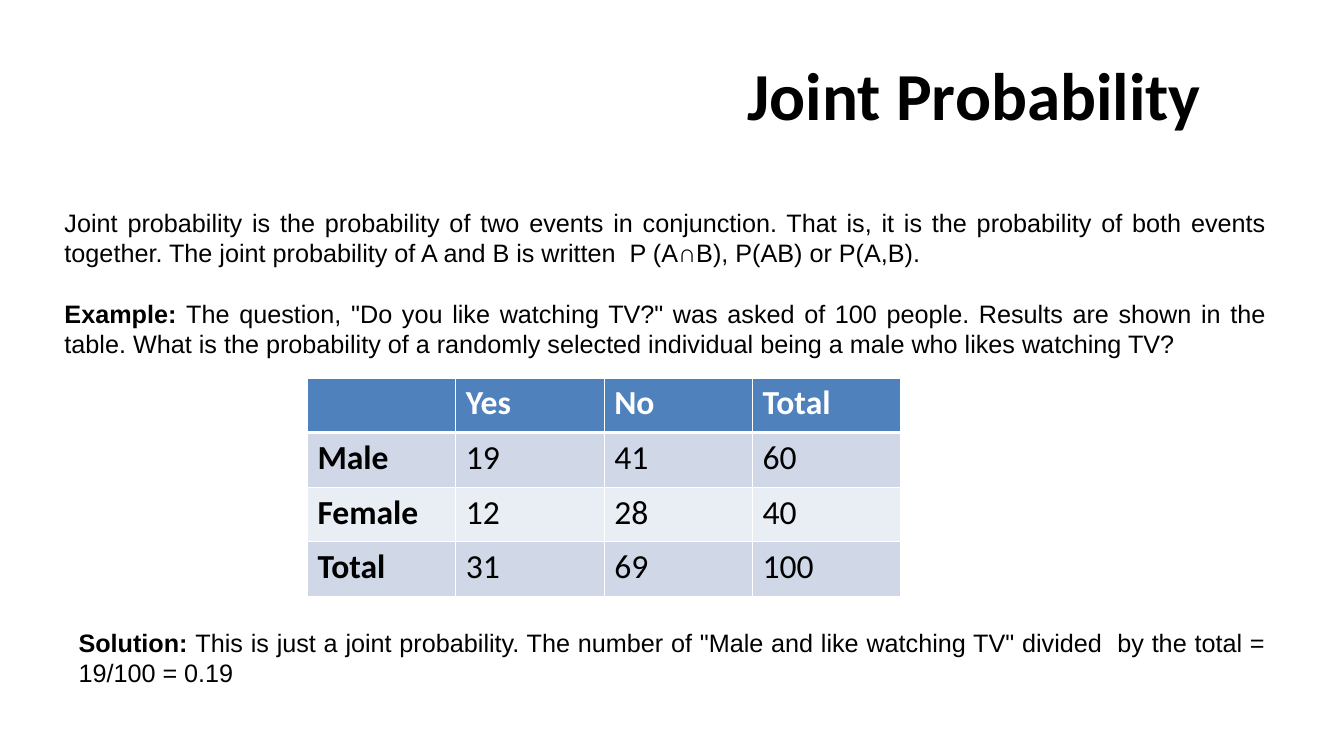
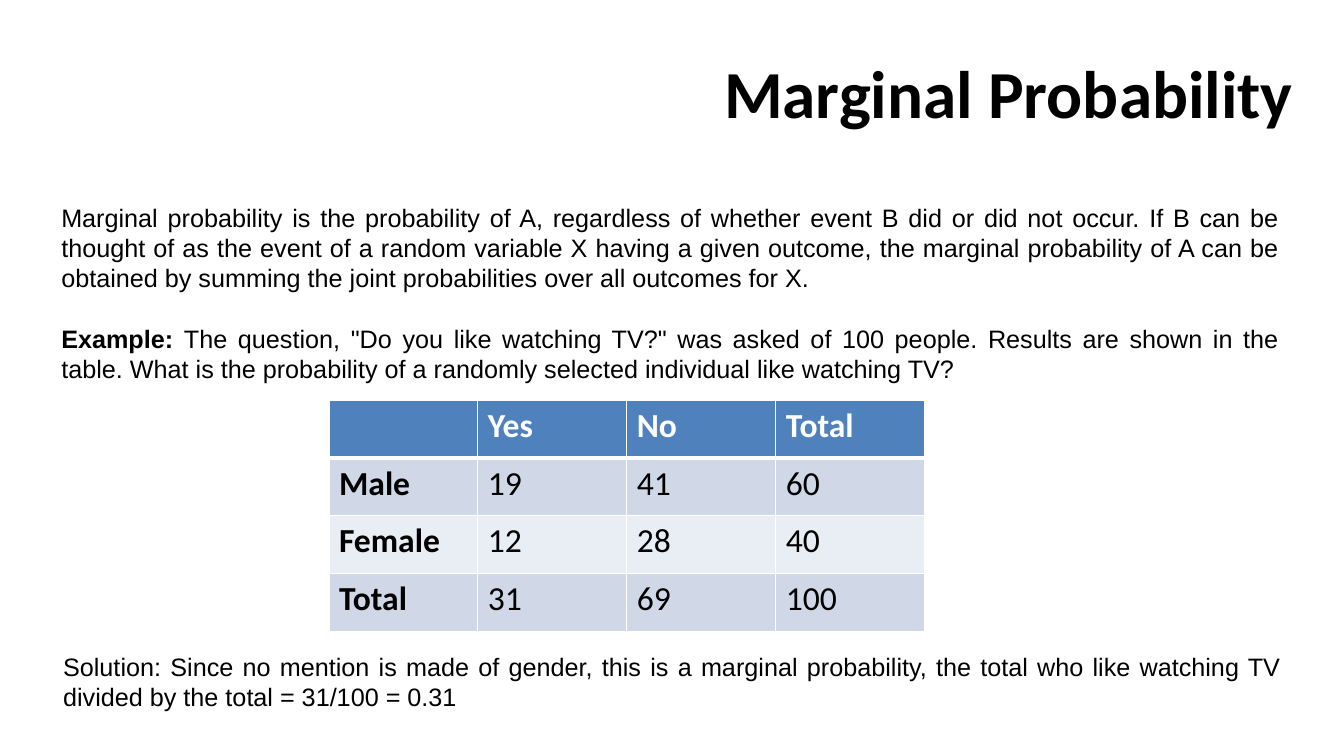
"""Build two slides on joint and marginal probability."""
from dataclasses import dataclass

from lxml import etree
from pptx import Presentation
from pptx.dml.color import RGBColor
from pptx.enum.text import MSO_ANCHOR, PP_ALIGN
from pptx.oxml.ns import qn
from pptx.util import Pt

CENTER = PP_ALIGN.CENTER
JUSTIFY = PP_ALIGN.JUSTIFY
MIDDLE = MSO_ANCHOR.MIDDLE
TITLE_ONLY = 5


@dataclass(frozen=True)
class Theme:
    """Hold the colours, fonts and sizes that the slides share."""
    text: str = "000000"
    white: str = "FFFFFF"
    header: str = "4F81BD"
    bands: tuple = ("D0D8E8", "E9EDF4")
    heading_font: str = "Calibri"
    body_font: str = "Arial"
    title_size: int = 48
    body_size: int = 18
    table_size: int = 24
    paragraph_gap: float = 21.5
    thin_border: int = 1
    thick_border: int = 3


THEME = Theme()
BODY = {"name": THEME.body_font, "size": Pt(THEME.body_size)}
TABLE = {"name": THEME.heading_font, "size": Pt(THEME.table_size)}
TITLE = {"name": THEME.heading_font, "size": Pt(THEME.title_size), "bold": True}

SURVEY = [
    ["", "Yes", "No", "Total"],
    ["Male", "19", "41", "60"],
    ["Female", "12", "28", "40"],
    ["Total", "31", "69", "100"],
]
QUESTION = (
    'The question, "Do you like watching TV?" was asked of 100 people. Results are shown '
    "in the table. What is the probability of a randomly selected individual "
)

SLIDES = [
    {
        "title": ("Joint Probability", (480, 21.6, 432, 90)),
        "body": (
            [
                [("Joint probability is the probability of two events in conjunction. That is, "
                  "it is the probability of both events together. The joint probability of A "
                  "and B is written  P (A∩B), P(AB) or P(A,B).", False)],
                [("Example: ", True), (QUESTION + "being a male who likes watching TV?", False)],
            ],
            (39, 144.7, 872.5, 138),
        ),
        "table": (219.6, 270, 424, 156),
        "solution": (
            [[("Solution: ", True),
              ('This is just a joint probability. The number of "Male and like watching TV" '
               "divided  by the total = 19/100 = 0.19", False)]],
            (49, 444.2, 862, 51),
        ),
    },
    {
        "title": ("Marginal Probability", (492, 20.2, 457, 90)),
        "body": (
            [
                [("Marginal probability is the probability of A, regardless of whether event B "
                  "did or did not occur. If B can be thought of as the event of a random "
                  "variable X having a given outcome, the marginal probability of A can be "
                  "obtained by summing the joint probabilities over all outcomes for X.", False)],
                [("Example: ", True), (QUESTION + "like watching TV?", False)],
            ],
            (36.7, 141, 884, 138),
        ),
        "table": (235, 286, 425.5, 165),
        "solution": (
            [[("Solution: Since no mention is made of gender, this is a marginal probability, "
               "the total who like watching TV divided by the total = 31/100 = 0.31", False)]],
            (38, 461.5, 884, 51),
        ),
    },
]


def points(box):
    """Convert a left, top, width, height box to lengths."""
    return [Pt(value) for value in box]


def format_run(run, values, color):
    """Apply font values and a colour to a run."""
    for name, value in values.items():
        setattr(run.font, name, value)
    run.font.color.rgb = RGBColor.from_string(color)


def set_title(slide, text, box):
    """Place and format the title placeholder."""
    title = slide.shapes.title
    for name, value in zip(("left", "top", "width", "height"), points(box)):
        setattr(title, name, value)
    title.text_frame.vertical_anchor = MIDDLE
    paragraph = title.text_frame.paragraphs[0]
    paragraph.alignment = CENTER
    run = paragraph.add_run()
    run.text = text
    format_run(run, TITLE, THEME.text)


def add_text(slide, paragraphs, box):
    """Add a justified text box from paragraphs of (text, bold) runs."""
    frame = slide.shapes.add_textbox(*points(box)).text_frame
    frame.word_wrap = True
    for index, runs in enumerate(paragraphs):
        paragraph = frame.add_paragraph() if index else frame.paragraphs[0]
        paragraph.alignment = JUSTIFY
        paragraph.space_before = Pt(THEME.paragraph_gap if index else 0)
        for text, bold in runs:
            run = paragraph.add_run()
            run.text = text
            format_run(run, {**BODY, "bold": bold}, THEME.text)


def add_border(cell, side, width):
    """Draw one white border of a cell."""
    properties = cell._tc.get_or_add_tcPr()
    line = etree.SubElement(properties, qn(f"a:ln{side}"), w=str(Pt(width)))
    fill = etree.SubElement(line, qn("a:solidFill"))
    etree.SubElement(fill, qn("a:srgbClr"), val=THEME.white)


def format_cell(cell, text, row, column):
    """Fill a cell, border it and write its text."""
    thick_side = {0: "B", 1: "T"}.get(row)
    for side in "LRTB":
        add_border(cell, side, THEME.thick_border if side == thick_side else THEME.thin_border)
    cell.fill.solid()
    fill = THEME.bands[(row - 1) % 2] if row else THEME.header
    cell.fill.fore_color.rgb = RGBColor.from_string(fill)
    if text:
        run = cell.text_frame.paragraphs[0].add_run()
        run.text = text
        bold = row == 0 or column == 0
        format_run(run, {**TABLE, "bold": bold}, THEME.text if row else THEME.white)


def add_survey_table(slide, box):
    """Add the survey results as an evenly divided table."""
    left, top, width, height = points(box)
    table = slide.shapes.add_table(len(SURVEY), len(SURVEY[0]), left, top, width, height).table
    for row, texts in enumerate(SURVEY):
        for column, text in enumerate(texts):
            format_cell(table.cell(row, column), text, row, column)


def main():
    """Build and save the presentation."""
    presentation = Presentation()
    presentation.slide_width, presentation.slide_height = Pt(960), Pt(540)
    for content in SLIDES:
        slide = presentation.slides.add_slide(presentation.slide_layouts[TITLE_ONLY])
        set_title(slide, *content["title"])
        add_text(slide, *content["body"])
        add_survey_table(slide, content["table"])
        add_text(slide, *content["solution"])
    presentation.save("out.pptx")


if __name__ == "__main__":
    main()
